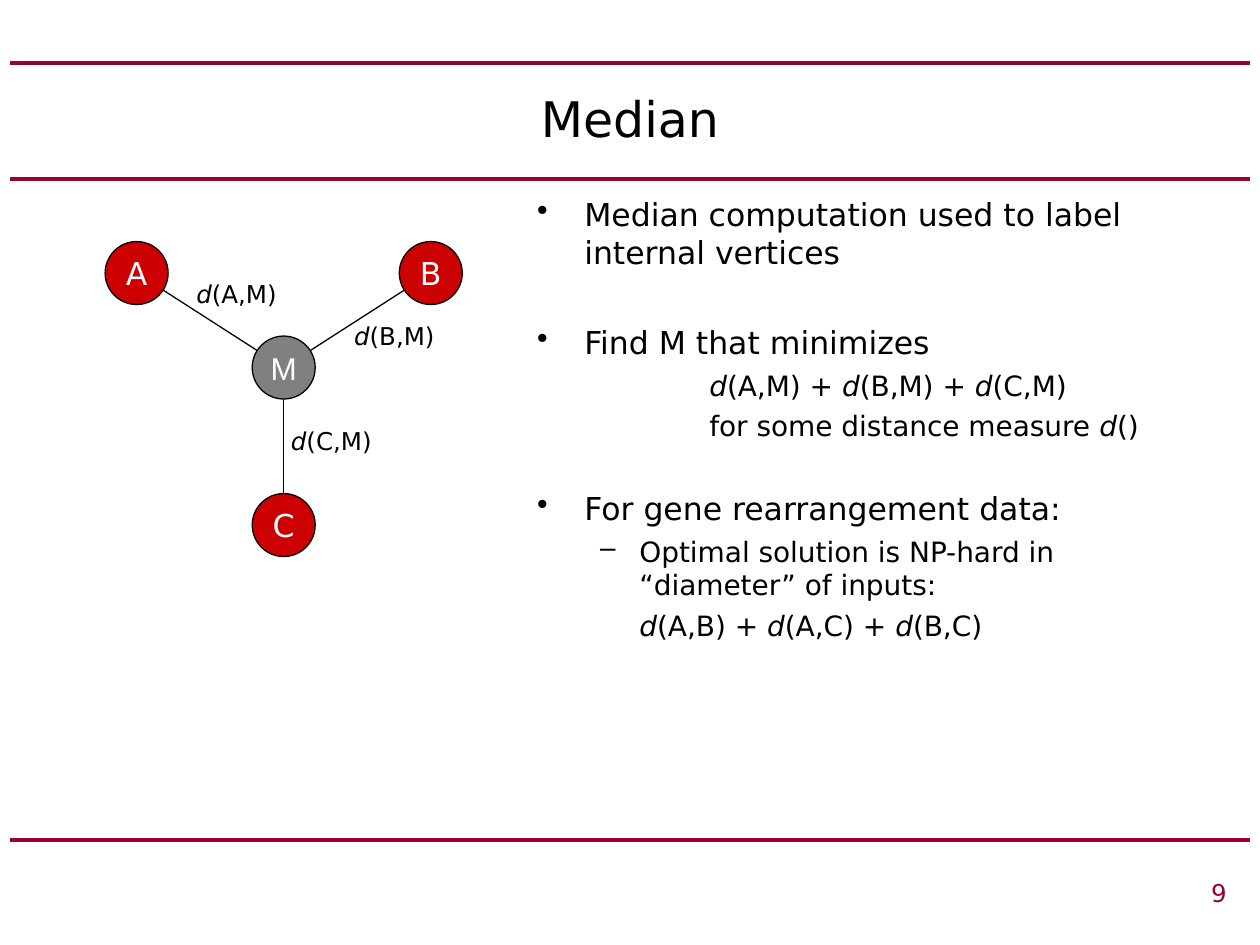
from lxml.etree import SubElement
from pptx import Presentation
from pptx.dml.color import RGBColor
from pptx.enum.shapes import MSO_CONNECTOR as CONNECTOR, MSO_SHAPE as SHAPE
from pptx.enum.text import MSO_ANCHOR as ANCHOR, PP_ALIGN as ALIGN
from pptx.oxml.ns import qn
from pptx.util import Cm, Pt

COLORS = {"rule": "990033", "input": "CC0000", "median": "808080",
          "ink": "000000", "node_text": "FFFFFF"}
FONT = "DejaVu Sans"
NODE_SIZE = 1.27


def rgb(name):
    return RGBColor.from_string(COLORS[name])


def style(paragraph, size, color="ink", align=ALIGN.LEFT, font=FONT):
    paragraph.alignment = align
    paragraph.font.name = font
    paragraph.font.size = Pt(size)
    paragraph.font.color.rgb = rgb(color)


def write(paragraph, text):
    """Add text, setting the d of every distance d(...) in italics."""
    first, *rest = text.split("d(")
    if first:
        paragraph.add_run().text = first
    for part in rest:
        distance = paragraph.add_run()
        distance.text = "d"
        distance.font.italic = True
        paragraph.add_run().text = "(" + part


def add_frame(slide, left, top, width, height, anchor=ANCHOR.TOP):
    frame = slide.shapes.add_textbox(Cm(left), Cm(top), Cm(width), Cm(height)).text_frame
    frame.word_wrap = True
    frame.vertical_anchor = anchor
    return frame


def add_line(slide, start, end, color, width):
    points = [Cm(value) for value in (*start, *end)]
    line = slide.shapes.add_connector(CONNECTOR.STRAIGHT, *points)
    line.line.color.rgb = rgb(color)
    line.line.width = Pt(width)
    SubElement(line._element.spPr, qn("a:effectLst"))


def add_rules(slide, left, width, heights):
    for y in heights:
        add_line(slide, (left, y), (left + width, y), "rule", 2.25)


def add_label(slide, box, text, size, color="ink", align=ALIGN.CENTER, anchor=ANCHOR.TOP):
    paragraph = add_frame(slide, *box, anchor).paragraphs[0]
    write(paragraph, text)
    style(paragraph, size, color, align)


def add_node(slide, name, center, fill, font=FONT):
    x, y = (value - NODE_SIZE / 2 for value in center)
    node = slide.shapes.add_shape(SHAPE.OVAL, Cm(x), Cm(y), Cm(NODE_SIZE), Cm(NODE_SIZE))
    node.shadow.inherit = False
    node.fill.solid()
    node.fill.fore_color.rgb = rgb(fill)
    node.line.color.rgb = rgb("ink")
    node.line.width = Pt(0.75)
    frame = node.text_frame
    frame.margin_left = frame.margin_right = frame.margin_top = frame.margin_bottom = 0
    frame.vertical_anchor = ANCHOR.MIDDLE
    frame.word_wrap = False
    frame.text = name
    style(frame.paragraphs[0], 18, "node_text", ALIGN.CENTER, font)


def add_median_tree(slide, left, top, width, height):
    radius = NODE_SIZE / 2
    median = (left + width / 2, top + 2.54)
    inputs = {
        "A": (left + radius, top + radius),
        "B": (left + width - radius, top + radius),
        "C": (left + width / 2, top + height - radius),
    }
    label_offsets = {"A": (0.85, 0.64), "B": (4.03, 1.48), "C": (2.76, 3.59)}
    for center in inputs.values():
        add_line(slide, center, median, "ink", 0.75)
    for name, center in inputs.items():
        add_node(slide, name, center, "input")
    add_node(slide, "M", median, "median", "Arial")
    for name, (dx, dy) in label_offsets.items():
        add_label(slide, (left + dx, top + dy, 3.6, 0.86), f"d({name},M)", 14)


def add_points(slide, left, top, width, height):
    # kind: bullet, left margin, first-line indent, size
    kinds = {
        "point": ("•", 0.95, -0.95, 18),
        "subpoint": ("–", 2.06, -0.79, 16),
        "formula": (None, 3.47, 0, 16),
        "subformula": (None, 2.06, 0, 16),
    }
    points = [  # kind, space before, text
        ("point", 0, "Median computation used to label internal vertices"),
        ("point", 30, "Find M that minimizes"),
        ("formula", 4, "d(A,M) + d(B,M) + d(C,M)"),
        ("formula", 4, "for some distance measure d()"),
        ("point", 27, "For gene rearrangement data:"),
        ("subpoint", 4, "Optimal solution is NP-hard in “diameter” of inputs:"),
        ("subformula", 4, "d(A,B) + d(A,C) + d(B,C)"),
    ]
    frame = add_frame(slide, left, top, width, height)
    for number, (kind, space, text) in enumerate(points):
        paragraph = frame.add_paragraph() if number else frame.paragraphs[0]
        bullet, margin, indent, size = kinds[kind]
        properties = paragraph._p.get_or_add_pPr()
        properties.set("marL", str(Cm(margin)))
        properties.set("indent", str(Cm(indent)))
        if bullet:
            bullet_color = SubElement(properties, qn("a:buClr"))
            SubElement(bullet_color, qn("a:srgbClr"), val=COLORS["ink"])
            SubElement(properties, qn("a:buChar"), char=bullet)
        else:
            SubElement(properties, qn("a:buNone"))
        if kind.startswith("sub"):
            paragraph.level = 1
        paragraph.space_before = Pt(space)
        write(paragraph, text)
        style(paragraph, size)


def main():
    deck = Presentation()
    deck.slide_width, deck.slide_height = Cm(25.4), Cm(19.05)
    slide = deck.slides.add_slide(deck.slide_layouts[6])
    add_rules(slide, 0.21, 24.98, (16.93, 3.6, 1.27))
    add_label(slide, (1.27, 1.27, 22.86, 2.22), "Median", 28, anchor=ANCHOR.MIDDLE)
    add_median_tree(slide, 2.12, 4.87, 7.2, 6.35)
    add_points(slide, 10.58, 3.81, 13.55, 12.91)
    add_label(slide, (7.2, 17.57, 17.78, 0.85), "9", 14, "rule", ALIGN.RIGHT)
    deck.save("out.pptx")


if __name__ == "__main__":
    main()
